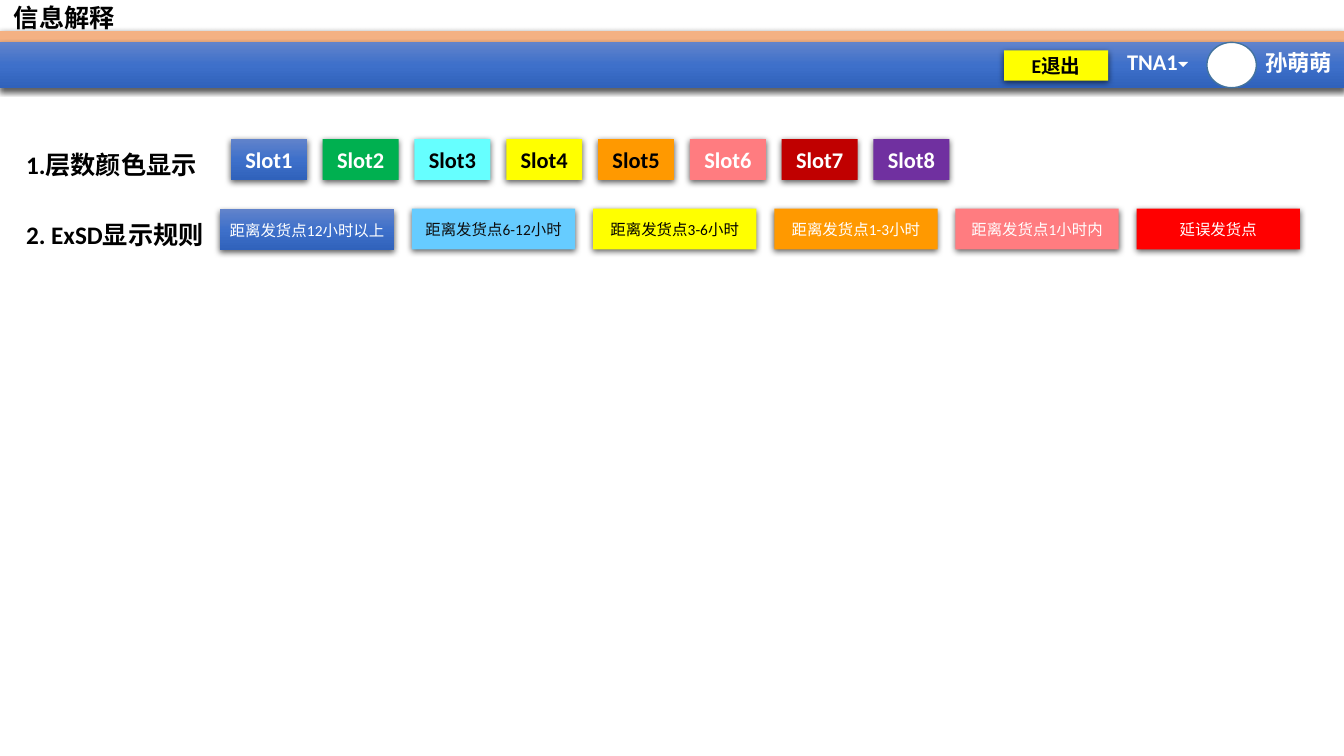
import copy

import pptx
import pptx.dml.color
import pptx.enum.shapes
import pptx.enum.text
import pptx.oxml
import pptx.oxml.ns
import pptx.util

SHAPE = pptx.enum.shapes.MSO_SHAPE
ANCHOR = pptx.enum.text.MSO_ANCHOR
ALIGN = pptx.enum.text.PP_ALIGN
BLUE = ["6183CB", "3E70CA", "3062BB"]
SHADOW = (
    f'<a:effectLst {pptx.oxml.ns.nsdecls("a")}>'
    '<a:outerShdw blurRad="57150" dist="19050" dir="5400000" algn="ctr" rotWithShape="0">'
    '<a:srgbClr val="000000"><a:alpha val="63000"/></a:srgbClr>'
    '</a:outerShdw></a:effectLst>'
)

prs = pptx.Presentation()
prs.slide_width = pptx.util.Inches(13.33)
prs.slide_height = pptx.util.Inches(7.5)
s = prs.slides.add_slide(prs.slide_layouts[6])
rgb = pptx.dml.color.RGBColor.from_string


def add_box(at, fill=None, text="", size=16, color="FFFFFF", bold=True,
            kind=SHAPE.RECTANGLE, shadow=True):
    """Add a filled shape, or a text box if fill is None; at holds percents of the slide."""
    x, y, w, h = at
    place = [int(prs.slide_width * x / 100), int(prs.slide_height * y / 100),
             int(prs.slide_width * w / 100), int(prs.slide_height * h / 100)]
    if fill is None:
        sp = s.shapes.add_textbox(*place)
    else:
        sp = s.shapes.add_shape(kind, *place)
        sp.line.fill.background()
        if fill == BLUE:
            sp.fill.gradient()
            sp.fill.gradient_angle = 270
            first = sp.element.spPr.find(".//" + pptx.oxml.ns.qn("a:gs"))
            first.addnext(copy.deepcopy(first))
            for i, stop in enumerate(sp.fill.gradient_stops):
                stop.position = i / 2
                stop.color.rgb = rgb(BLUE[i])
        else:
            sp.fill.solid()
            sp.fill.fore_color.rgb = rgb(fill)
        if shadow:
            sp.element.spPr.append(pptx.oxml.parse_xml(SHADOW))
        else:
            sp.shadow.inherit = False
    tf = sp.text_frame
    tf.word_wrap = True
    if text:
        tf.text = text
        tf.vertical_anchor = ANCHOR.TOP if fill is None else ANCHOR.MIDDLE
        for p in tf.paragraphs:
            p.alignment = ALIGN.LEFT if fill is None else ALIGN.CENTER
            for r in p.runs:
                r.font.name = "Calibri"
                r.font.size = pptx.util.Pt(size)
                r.font.bold = bold
                r.font.color.rgb = rgb(color)
    return sp


# Header bar
add_box((0, 4.13, 100, 1.47), "F4B183")
add_box((0, 5.6, 100, 6), BLUE)
user = add_box((93.4, 5.87, 6.6, 4.93), text="孙萌萌")
avatar = add_box((89.8, 5.6, 3.68, 6), "FFFFFF", kind=SHAPE.OVAL, shadow=False)
avatar.line.color.rgb = rgb("43739E")
avatar.line.width = pptx.util.Pt(1)
site = add_box((83.12, 5.73, 5.33, 4.93), text="TNA1")
for sp in (user, site):
    sp.text_frame.word_wrap = False
arrow = add_box((87.77, 7.73, 0.53, 0.93), "FFFFFF", kind=SHAPE.RIGHT_TRIANGLE, shadow=False)
arrow.rotation = 314.5
add_box((74.72, 6.67, 7.73, 4), "FFFF00", "E退出", 14, "000000")

# Page title and section headings
title = add_box((0.3, -0.13, 86.27, 5.33), text="信息解释", size=18, color="000000")
title.text_frame.vertical_anchor = ANCHOR.MIDDLE
title.text_frame.paragraphs[0].line_spacing = 0.9
headings = add_box((1.2, 18.53, 96.85, 69.47), text="1.层数颜色显示\n2. ExSD显示规则",
                   size=18, color="000000")
for p in headings.text_frame.paragraphs:
    p.line_spacing = pptx.util.Pt(25)
headings.text_frame.paragraphs[1].space_before = pptx.util.Pt(25)

# Slot colours
slots = [(BLUE, "FFFFFF"), ("00B050", "FFFFFF"), ("66FFFF", "000000"), ("FFFF00", "000000"),
         ("FF9900", "000000"), ("FF7C80", "FFFFFF"), ("C00000", "FFFFFF"), ("7030A0", "FFFFFF")]
for i, (fill, color) in enumerate(slots):
    add_box((17.18 + 6.83 * i, 18.4, 5.65, 5.4), fill, f"Slot{i + 1}", color=color)

# Time left until the shipping point
add_box((16.35, 27.7, 13, 5.4), BLUE, "距离发货点12小时以上", 11, bold=False)
rules = [("66CCFF", "0D0D0D", "距离发货点6-12小时"), ("FFFF00", "000000", "距离发货点3-6小时"),
         ("FF9900", "FFFFFF", "距离发货点1-3小时"), ("FF7C80", "FFFFFF", "距离发货点1小时内"),
         ("FF0000", "FFFFFF", "延误发货点")]
for i, (fill, color, text) in enumerate(rules):
    add_box((30.65 + 13.48 * i, 27.6, 12.15, 5.4), fill, text, 11, color, bold=False)

prs.save("out.pptx")
